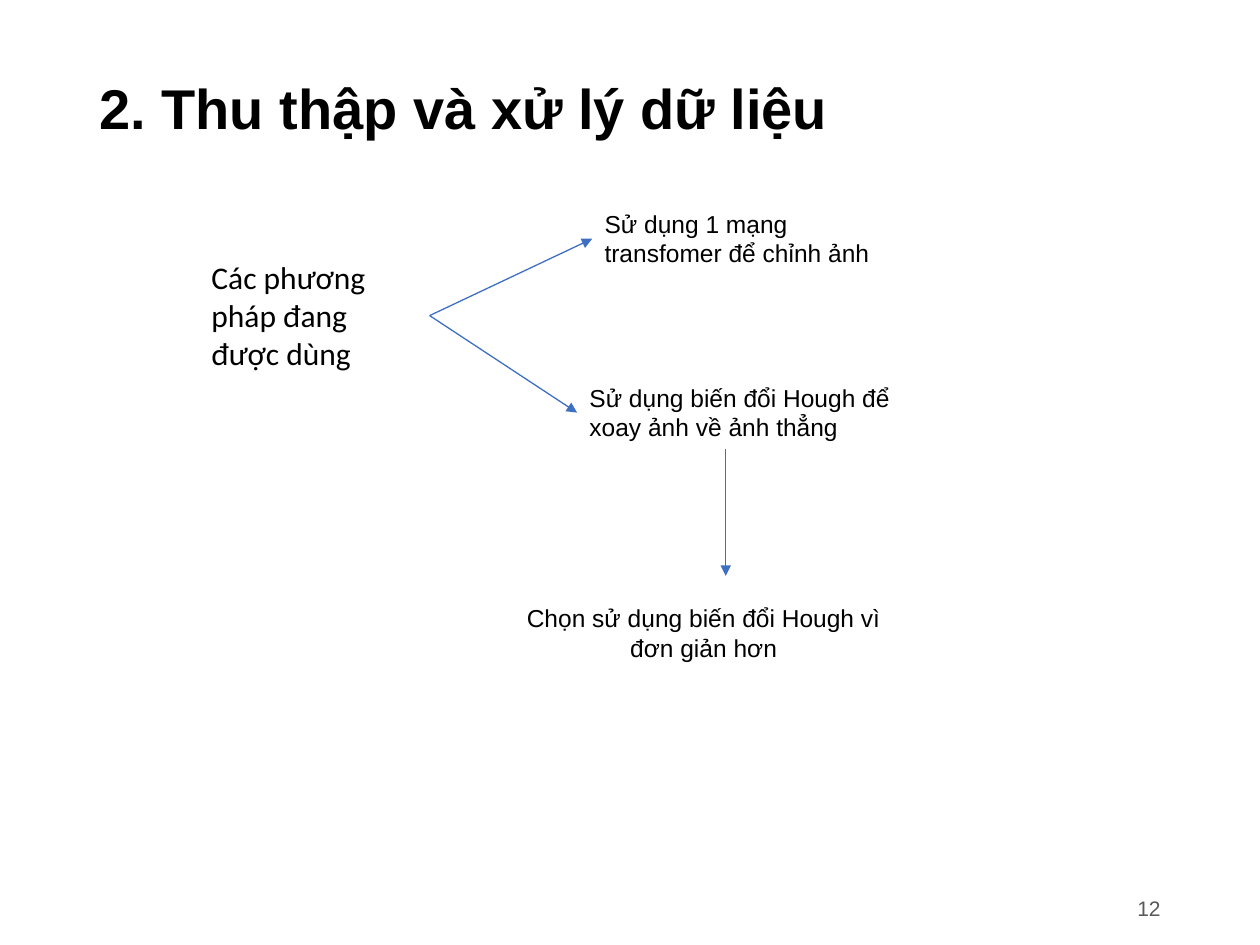
"""Build the slide on data collection and processing methods."""
from lxml import etree
from pptx import Presentation
from pptx.dml.color import RGBColor
from pptx.enum.shapes import MSO_CONNECTOR
from pptx.enum.text import MSO_ANCHOR, MSO_AUTO_SIZE, PP_ALIGN
from pptx.oxml.ns import qn
from pptx.util import Inches, Pt

BLACK = RGBColor(0x00, 0x00, 0x00)
GRAY = RGBColor(0x59, 0x59, 0x59)
BLUE = RGBColor(0x3F, 0x6F, 0xC3)
LEFT, CENTER, RIGHT = PP_ALIGN.LEFT, PP_ALIGN.CENTER, PP_ALIGN.RIGHT
TOP, MIDDLE = MSO_ANCHOR.TOP, MSO_ANCHOR.MIDDLE
FIXED, GROW = MSO_AUTO_SIZE.NONE, MSO_AUTO_SIZE.SHAPE_TO_FIT_TEXT
STRAIGHT = MSO_CONNECTOR.STRAIGHT
LEFT_SIDE, RIGHT_SIDE = 1, 3


def add_text(slide, text, box, frame_format, paragraph_format, font_format):
    shape = slide.shapes.add_textbox(*map(Inches, box))
    frame = shape.text_frame
    paragraph = frame.paragraphs[0]
    paragraph.text = text
    font = paragraph.runs[0].font
    font.color.rgb = font_format["color"]
    formats = (
        (frame, {"word_wrap": True, **frame_format}),
        (paragraph, paragraph_format),
        (font, {key: value for key, value in font_format.items() if key != "color"}),
    )
    for target, values in formats:
        for name, value in values.items():
            setattr(target, name, value)
    return shape


def add_arrow(slide, start, end):
    connector = slide.shapes.add_connector(STRAIGHT, *map(Inches, start + end))
    connector.line.color.rgb = BLUE
    connector.line.width = Pt(0.75)
    etree.SubElement(connector.line._get_or_add_ln(), qn("a:tailEnd"), type="triangle")
    etree.SubElement(connector._element.spPr, qn("a:effectLst"))
    return connector


presentation = Presentation()
presentation.slide_width = Inches(10)
presentation.slide_height = Inches(7.5)
slide = presentation.slides.add_slide(presentation.slide_layouts[6])

fixed_frame = {"auto_size": FIXED, "vertical_anchor": MIDDLE}
growing_frame = {"auto_size": GROW, "vertical_anchor": TOP}
title_font = {"name": "Arial", "size": Pt(32), "bold": True, "color": BLACK}
number_font = {"name": "Arial", "size": Pt(12), "color": GRAY}
topic_font = {"name": "Calibri", "size": Pt(18), "color": BLACK}
method_font = {"name": "Arial", "size": Pt(14), "color": BLACK}

add_text(slide, "12", (8.06, 7.01, 1.25, 0.4), fixed_frame, {"alignment": RIGHT}, number_font)
add_text(slide, "2. Thu thập và xử lý dữ liệu", (0.69, 0.16, 8.62, 1.45), fixed_frame,
         {"alignment": LEFT, "line_spacing": 0.9}, title_font)
topic = add_text(slide, "Các phương pháp đang được dùng", (1.58, 2, 1.83, 1.01),
                 growing_frame, {"alignment": LEFT}, topic_font)

methods = (
    ("Sử dụng 1 mạng transfomer để chỉnh ảnh", (4.7, 1.61, 2.6, 0.57)),
    ("Sử dụng biến đổi Hough để xoay ảnh về ảnh thẳng", (4.58, 2.99, 2.84, 0.57)),
)
for text, box in methods:
    method = add_text(slide, text, box, growing_frame, {"alignment": LEFT}, method_font)
    arrow = add_arrow(slide, (3.4, 2.5), box[:2])
    arrow.begin_connect(topic, RIGHT_SIDE)
    arrow.end_connect(method, LEFT_SIDE)

add_arrow(slide, (5.76, 3.56), (5.76, 4.57))
add_text(slide, "Chọn sử dụng biến đổi Hough vì đơn giản hơn", (4.05, 4.74, 3.07, 0.57),
         growing_frame, {"alignment": CENTER}, method_font)

presentation.save("out.pptx")
